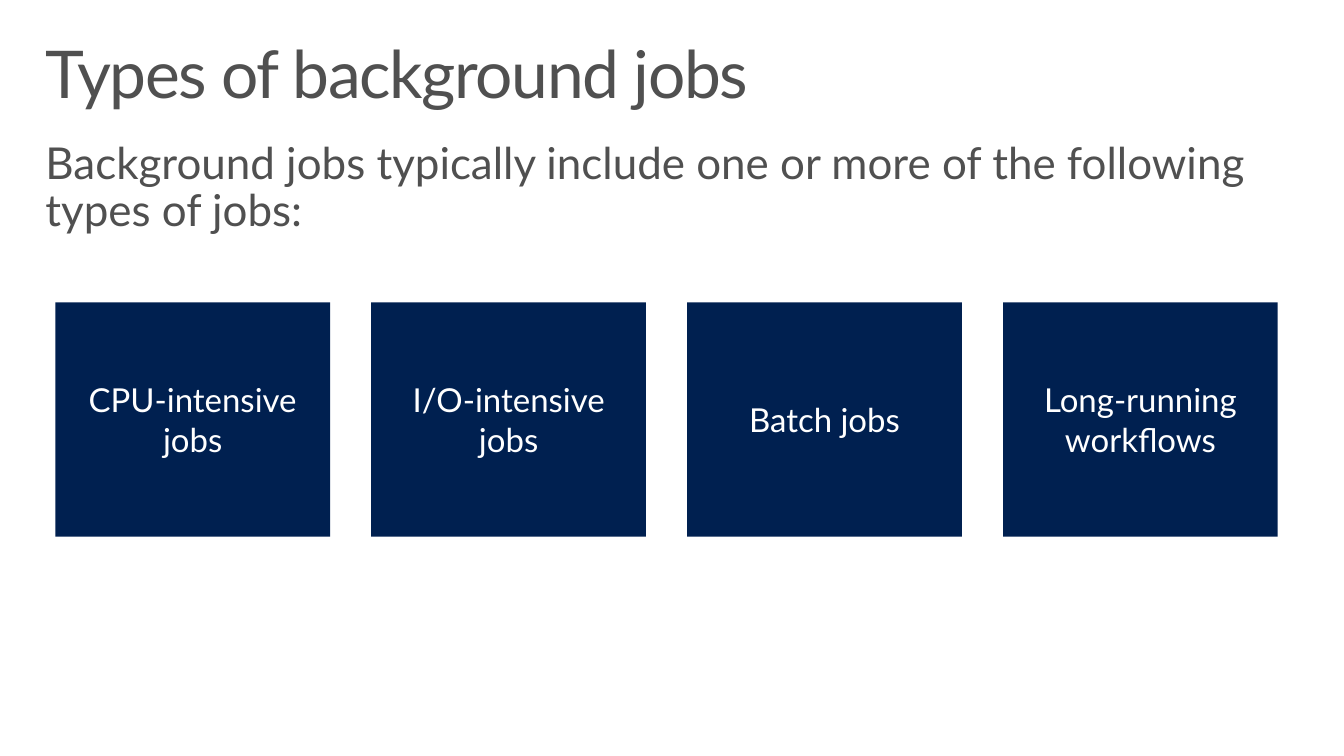
"""Build a slide that lists the four types of background jobs."""
from dataclasses import dataclass

from pptx import Presentation
from pptx.dml.color import RGBColor
from pptx.enum.shapes import MSO_SHAPE
from pptx.enum.text import MSO_ANCHOR, PP_ALIGN
from pptx.util import Inches, Pt

TITLE = "Types of background jobs"
LEAD = "Background jobs typically include one or more of the following types of jobs:"
JOBS = ["CPU-intensive jobs", "I/O-intensive jobs", "Batch jobs", "Long-running workflows"]


@dataclass(frozen=True)
class Theme:
    font: str = "Lato"
    grey: str = "505050"
    navy: str = "002050"
    white: str = "FFFFFF"
    head: int = 48
    lead: int = 32
    card: int = 24


THEME = Theme()
WIDE, HIGH = 13.6, 7.65
EDGE = 0.3
LEFT, RIGHT = 0.56, 12.93
TOP, CARD_W, CARD_H = 3.06, 2.78, 2.37
STEP = (RIGHT - LEFT - CARD_W) / (len(JOBS) - 1)


def write(shape, text, size, color, pad, align=PP_ALIGN.LEFT,
          anchor=MSO_ANCHOR.TOP, lines=1.0, track=0):
    frame = shape.text_frame
    frame.word_wrap = True
    frame.vertical_anchor = anchor
    frame.margin_left = frame.margin_right = Inches(pad[0])
    frame.margin_top = frame.margin_bottom = Inches(pad[1])
    para = frame.paragraphs[0]
    para.alignment = align
    para.line_spacing = lines
    run = para.add_run()
    run.text = text
    run.font.name = THEME.font
    run.font.size = Pt(size)
    run.font.color.rgb = RGBColor.from_string(color)
    if track:
        run.font._element.set("spc", str(track * 100))


def main():
    deck = Presentation()
    deck.slide_width, deck.slide_height = Inches(WIDE), Inches(HIGH)
    shapes = deck.slides.add_slide(deck.slide_layouts[6]).shapes

    for text, top, high, size, track in [
        (TITLE, 0.32, 1, THEME.head, -1),
        (LEAD, 1.33, 1.17, THEME.lead, 0),
    ]:
        box = shapes.add_textbox(
            Inches(EDGE), Inches(top), Inches(WIDE - 2 * EDGE), Inches(high))
        write(box, text, size, THEME.grey, (0.16, 0.1), lines=0.9, track=track)

    for col, job in enumerate(JOBS):
        card = shapes.add_shape(
            MSO_SHAPE.RECTANGLE, Inches(LEFT + col * STEP), Inches(TOP),
            Inches(CARD_W), Inches(CARD_H))
        card.shadow.inherit = False
        card.fill.solid()
        card.fill.fore_color.rgb = RGBColor.from_string(THEME.navy)
        card.line.fill.background()
        write(card, job, THEME.card, THEME.white, (0.2, 0.16),
              align=PP_ALIGN.CENTER, anchor=MSO_ANCHOR.MIDDLE)

    deck.save("out.pptx")


if __name__ == "__main__":
    main()
